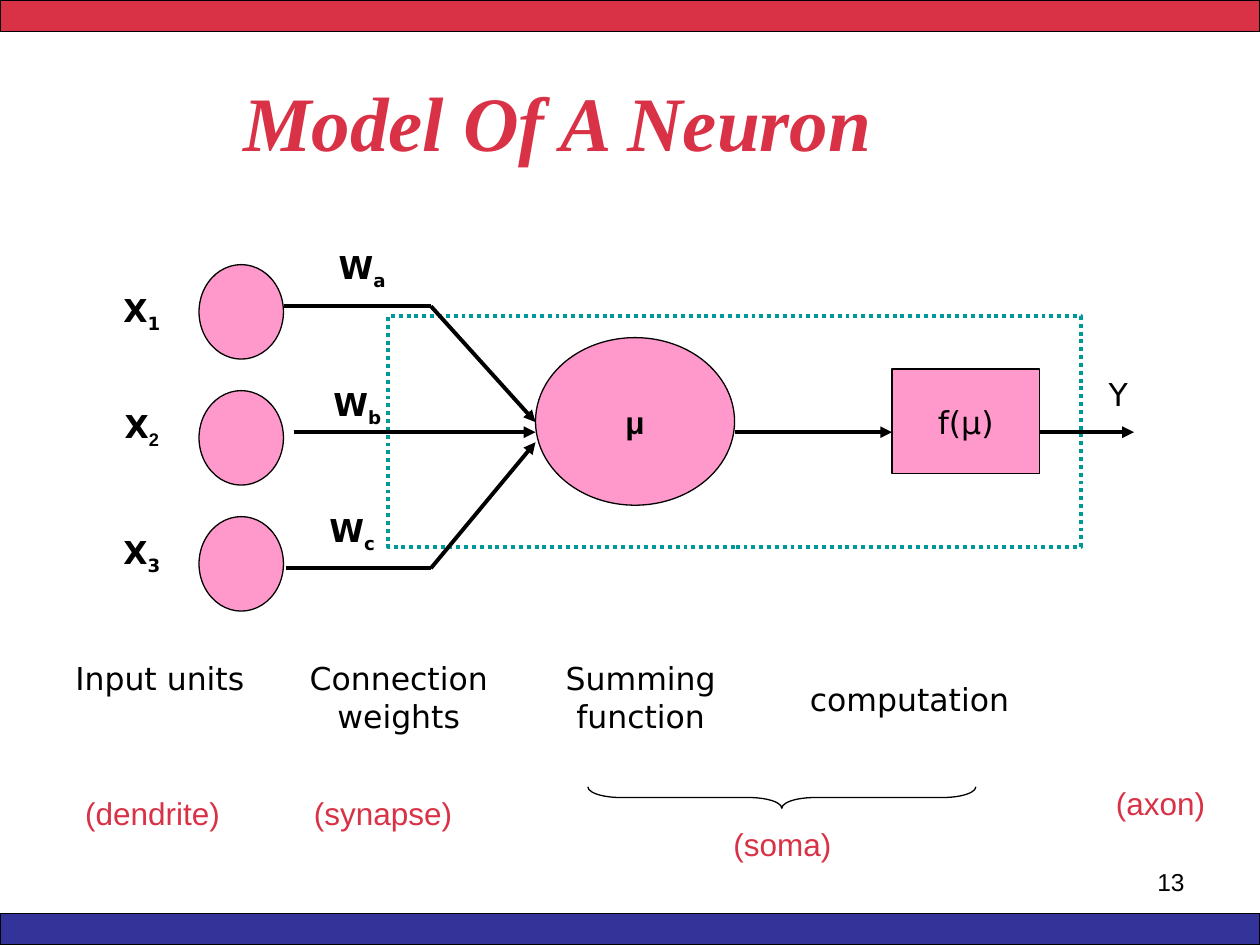
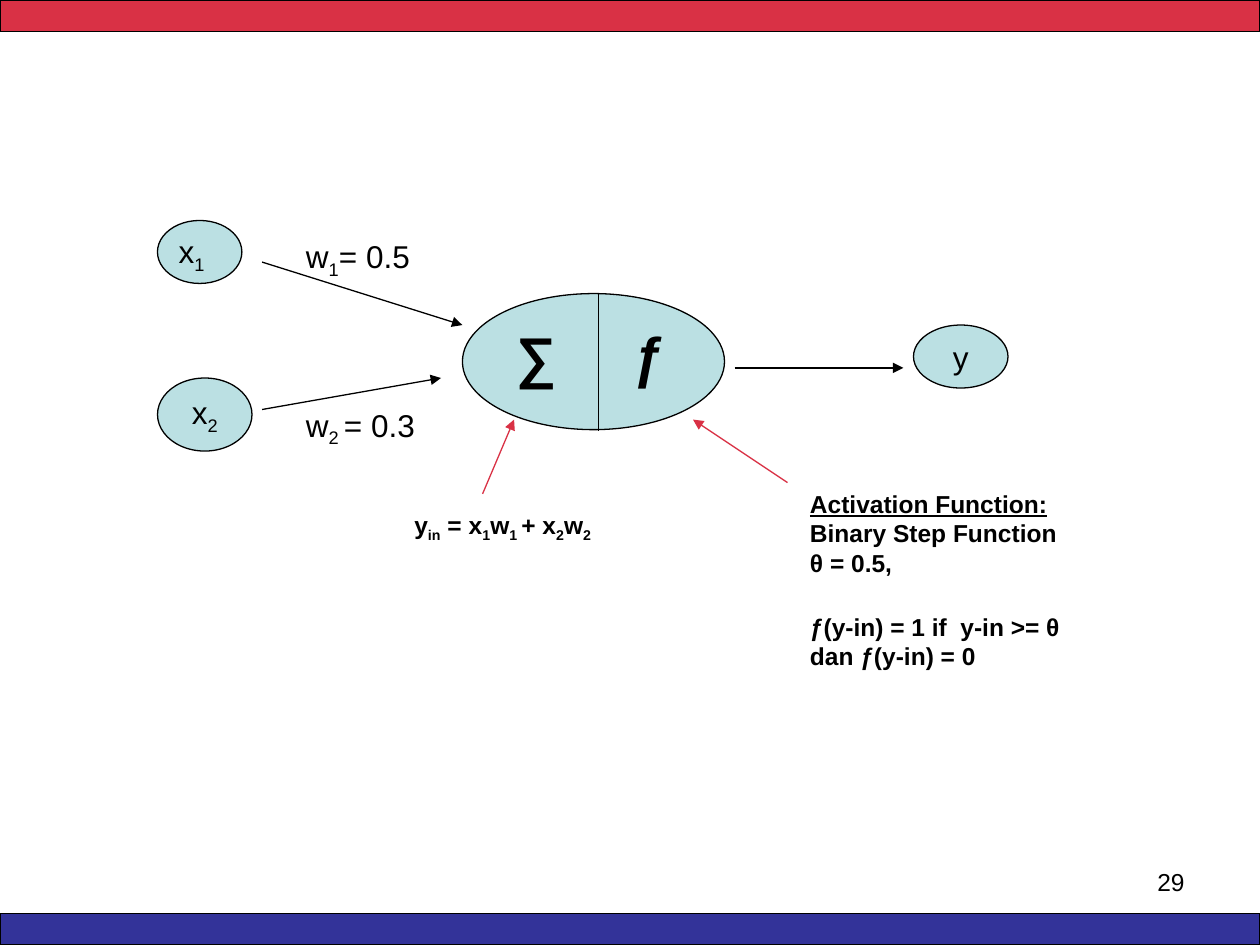
from lxml import etree
from pptx import Presentation
from pptx.dml.color import RGBColor
from pptx.enum.dml import MSO_LINE
from pptx.enum.shapes import MSO_CONNECTOR, MSO_SHAPE
from pptx.enum.text import MSO_ANCHOR, PP_ALIGN
from pptx.oxml.ns import qn
from pptx.util import Inches, Pt

OVAL, RECT, BRACE = MSO_SHAPE.OVAL, MSO_SHAPE.RECTANGLE, MSO_SHAPE.RIGHT_BRACE
STRAIGHT, DOTTED = MSO_CONNECTOR.STRAIGHT, MSO_LINE.ROUND_DOT
LEFT, CENTER, RIGHT = PP_ALIGN.LEFT, PP_ALIGN.CENTER, PP_ALIGN.RIGHT
MIDDLE, TOP = MSO_ANCHOR.MIDDLE, MSO_ANCHOR.TOP

RED = RGBColor(0xD9, 0x31, 0x45)
NAVY = RGBColor(0x33, 0x33, 0x99)
PINK = RGBColor(0xFF, 0x99, 0xCC)
TEAL = RGBColor(0x00, 0x99, 0x99)
PALE = RGBColor(0xBB, 0xE0, 0xE3)
BLACK = RGBColor(0, 0, 0)
ARIAL, DEJAVU, TIMES = "Arial", "DejaVu Sans", "Times New Roman"

TITLE_FONT = {"name": TIMES, "size": Pt(44), "bold": True, "italic": True}


def place(slide, box, text="", kind=None, fill=None, align=CENTER, color=BLACK, **font):
    """Add a preset shape, or a text box if kind is None; |..| marks a subscript."""
    lengths = [Inches(value) for value in box]
    if kind is None:
        item = slide.shapes.add_textbox(*lengths)
    else:
        item = slide.shapes.add_shape(kind, *lengths)
        item.shadow.inherit = False
        item.line.color.rgb, item.line.width = BLACK, Pt(0.75)
        if fill is None:
            item.fill.background()
        else:
            item.fill.solid()
            item.fill.fore_color.rgb = fill
    if not text:
        return item
    frame = item.text_frame
    frame.word_wrap = kind is None
    frame.vertical_anchor = TOP if kind is None else MIDDLE
    for index, line in enumerate(text.split("\n")):
        paragraph = frame.paragraphs[0] if index == 0 else frame.add_paragraph()
        paragraph.alignment = align
        for part, words in enumerate(line.split("|")):
            if not words:
                continue
            run = paragraph.add_run()
            run.text = words
            for key, value in {"name": ARIAL, "size": Pt(18), **font}.items():
                setattr(run.font, key, value)
            run.font.color.rgb = color
            if part % 2:
                run._r.get_or_add_rPr().set("baseline", "-25000")
    return item


def connect(slide, start, end, color=BLACK, width=0.75, arrow=True):
    link = slide.shapes.add_connector(STRAIGHT, *[Inches(v) for v in (*start, *end)])
    link.line.color.rgb, link.line.width = color, Pt(width)
    if arrow:
        etree.SubElement(link.line._get_or_add_ln(), qn("a:tailEnd"), type="triangle")
    etree.SubElement(link._element.spPr, qn("a:effectLst"))


prs = Presentation()
prs.slide_width, prs.slide_height = Inches(10), Inches(7.5)
model = prs.slides.add_slide(prs.slide_layouts[5])
example = prs.slides.add_slide(prs.slide_layouts[6])

# Bands and page numbers on both slides
for slide, number in ((model, "13"), (example, "29")):
    for top, band_color in ((0, RED), (7.25, NAVY)):
        place(slide, (0, top, 10, 0.25), kind=RECT, fill=band_color)
    place(slide, (7.17, 6.83, 2.33, 0.52), number, align=RIGHT, size=Pt(14))

# Slide 1: title
title = model.shapes.title
title.left, title.top, title.width, title.height = (
    Inches(v) for v in (1.83, 0.33, 9, 1.25))
title.text_frame.text = "Model Of A Neuron"
title.text_frame.vertical_anchor = MIDDLE
heading = title.text_frame.paragraphs[0]
heading.alignment = LEFT
heading_font = heading.runs[0].font
for key, value in TITLE_FONT.items():
    setattr(heading_font, key, value)
heading_font.color.rgb = RED

# Input units with their labels and weights
inputs = (("X|1|", 2.26, "W|a|", 2.25, 1.92),
          ("X|2|", 3.18, "W|b|", 2.21, 3.01),
          ("X|3|", 4.18, "W|c|", 2.17, 4.01))
for row, (unit, unit_top, weight, weight_left, weight_top) in enumerate(inputs):
    place(model, (1.58, 2.1 + row, 0.67, 0.75), kind=OVAL, fill=PINK)
    unit_label = place(model, (0.5, unit_top, 1.25, 0.44), unit, name=DEJAVU, bold=True)
    if row == 1:
        unit_label.text_frame.paragraphs[0].runs[1].font.name = ARIAL
    place(model, (weight_left, weight_top, 1.25, 0.44), weight, name=DEJAVU, bold=True)

# Cell body: summing and computation inside a dotted frame
place(model, (4.25, 2.68, 1.58, 1.33), "μ", OVAL, PINK, bold=True)
place(model, (7.08, 2.93, 1.17, 0.83), "f(μ)", RECT, PINK, name=DEJAVU)
cell_body = place(model, (3.08, 2.51, 5.5, 1.83), kind=RECT)
cell_body.line.color.rgb, cell_body.line.width = TEAL, Pt(2.25)
cell_body.line.dash_style = DOTTED

# Signal paths
for start, end, arrow in (
        ((2.33, 3.43), (4.25, 3.43), True),
        ((5.83, 3.43), (7.08, 3.43), True),
        ((8.25, 3.43), (9, 3.43), True),
        ((2.25, 2.43), (3.42, 2.43), False),
        ((3.42, 2.43), (4.25, 3.35), True),
        ((2.27, 4.51), (3.42, 4.51), False),
        ((3.42, 4.51), (4.25, 3.51), True)):
    connect(model, start, end, width=2.25, arrow=arrow)

# Names of the stages
for stage, left, top, width, align in (
        ("Y", 8.25, 2.93, 1.25, CENTER),
        ("Input units", 0.5, 5.18, 1.83, LEFT),
        ("Connection weights", 2.25, 5.18, 1.83, CENTER),
        ("Summing function", 4.17, 5.18, 1.83, CENTER),
        ("computation", 6.33, 5.35, 2, LEFT)):
    place(model, (left, top, width, 0.4), stage, align=align, name=DEJAVU)

# Biological counterparts
for organ, left, top in (("(dendrite)", 0.42, 6.25), ("(synapse)", 2.25, 6.25),
                         ("(axon)", 8.42, 6.17), ("(soma)", 5.42, 6.5)):
    place(model, (left, top, 1.58, 0.4), organ, color=RED)
soma_brace = place(model, (6.12, 4.79, 0.17, 3.08), kind=BRACE)
soma_brace.rotation = 90
soma_brace.adjustments[0] = 1.54

# Slide 2: nodes
for box, node in (((1.25, 1.75, 0.67, 0.5), ""),
                  ((1.25, 3, 0.75, 0.58), "x|2|"),
                  ((3.67, 2.33, 2.08, 1.08), ""),
                  ((7.25, 2.58, 0.75, 0.5), "y")):
    place(example, box, node, OVAL, PALE)
connect(example, (4.75, 2.33), (4.75, 3.42), arrow=False)

# Arrows between nodes, and from the notes in red
for start, end, color in (
        ((2.08, 3.25), (3.5, 3), BLACK),
        ((2.08, 2.08), (3.67, 2.58), BLACK),
        ((5.83, 2.92), (7.17, 2.92), BLACK),
        ((6.25, 3.83), (5.5, 3.33), RED),
        ((3.83, 3.92), (4.08, 3.33), RED)):
    connect(example, start, end, color)

# Input, weights and the two halves of the neuron
for left, top, width, label in ((1.32, 1.79, 0.6, "x|1|"),
                                (2.33, 1.83, 1.58, "w|1|= 0.5"),
                                (2.33, 3.17, 1.25, "w|2 |= 0.3")):
    place(example, (left, top, width, 0.44), label, align=LEFT)
for left, symbol, slanted in ((4, "∑", False), (4.92, "ƒ", True)):
    place(example, (left, 2.5, 0.5, 0.64), symbol, align=LEFT,
          size=Pt(32), bold=True, italic=slanted)

# Formulas
place(example, (3.19, 4, 1.8, 0.63), "y|in| = x|1|w|1 |+ x|2|w|2|",
      align=LEFT, size=Pt(14), bold=True)
activation = place(
    example, (6.33, 3.83, 2.75, 1.79),
    "Activation Function:\nBinary Step Function\nθ = 0.5,\n"
    "ƒ(y-in) = 1 if  y-in >= θ\ndan ƒ(y-in) = 0",
    align=LEFT, size=Pt(14), bold=True)
rule_lines = activation.text_frame.paragraphs
rule_lines[0].runs[0].font.underline = True
rule_lines[3].space_before = Pt(20)

prs.save("out.pptx")
